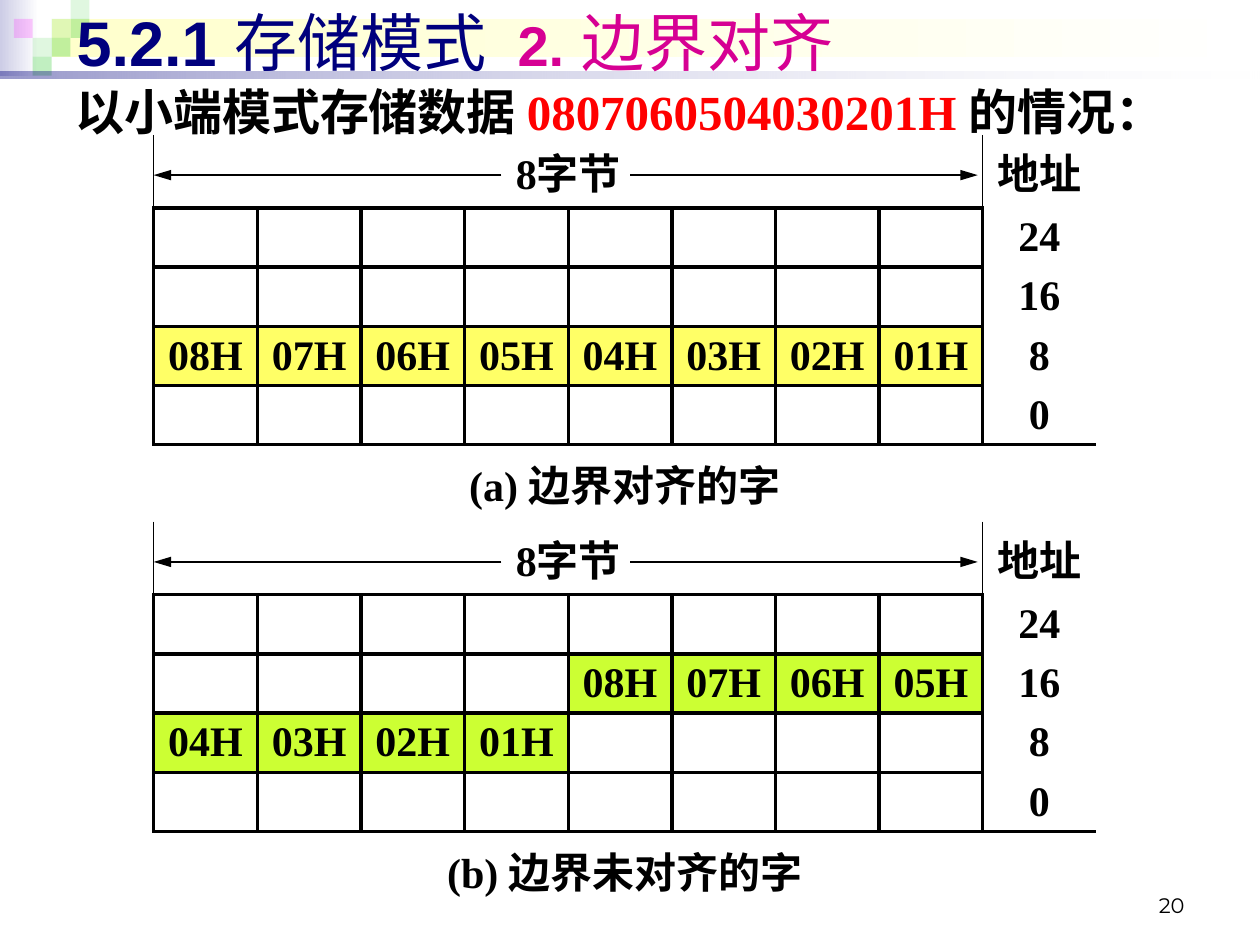
from lxml.etree import SubElement
from pptx import Presentation
from pptx.dml.color import RGBColor
from pptx.enum.shapes import MSO_CONNECTOR, MSO_SHAPE
from pptx.enum.text import MSO_ANCHOR, PP_ALIGN
from pptx.oxml import parse_xml
from pptx.oxml.ns import nsdecls, qn
from pptx.util import Inches, Pt

BLACK = RGBColor(0x00, 0x00, 0x00)
WHITE = RGBColor(0xFF, 0xFF, 0xFF)
NAVY = RGBColor(0x00, 0x00, 0x7D)
LAVENDER = RGBColor(0xCD, 0xCD, 0xE6)
CREAM = RGBColor(0xFF, 0xFF, 0xCC)
GREEN = RGBColor(0x33, 0xCC, 0x33)
MAGENTA = RGBColor(0xFF, 0x00, 0xFF)
PINK = RGBColor(0xD6, 0x00, 0x93)
RED = RGBColor(0xFF, 0x00, 0x00)
YELLOW = RGBColor(0xFF, 0xFF, 0x66)
LIME = RGBColor(0xCC, 0xFF, 0x33)

deck = Presentation()
deck.slide_width = Inches(10)
deck.slide_height = Inches(7.5)
page = deck.slides.add_slide(deck.slide_layouts[6])


def write(para, text, size=24, font="Times New Roman", color=BLACK, bold=True):
    span = para.add_run()
    span.text = text
    span.font.size = Pt(size)
    span.font.name = font
    span.font.color.rgb = color
    span.font.bold = bold


def add_block(left, top, width, height, *stops):
    block = page.shapes.add_shape(
        MSO_SHAPE.RECTANGLE, Inches(left), Inches(top), Inches(width), Inches(height)
    )
    block.shadow.inherit = False
    block.line.fill.background()
    if len(stops) == 1:
        block.fill.solid()
        block.fill.fore_color.rgb = stops[0][0]
    else:
        block.fill.gradient()
        block.fill.gradient_angle = 0
        for stop, (color, alpha) in zip(block.fill.gradient_stops, stops):
            stop.color.rgb = color
    colors = block.element.spPr.iter(qn("a:srgbClr"))
    for element, (color, alpha) in zip(colors, stops):
        if alpha < 100:
            SubElement(element, qn("a:alpha"), val=str(alpha * 1000))


add_block(0, 0, 0.31, 0.6, (LAVENDER, 100), (WHITE, 100))
add_block(0.41, 0.15, 9.55, 0.3, (CREAM, 100), (WHITE, 100))
for left, top, color, alpha in [
    (0.41, 0.15, GREEN, 15),
    (0.56, 0, GREEN, 15),
    (0.56, 0.15, GREEN, 30),
    (0.26, 0.3, GREEN, 15),
    (0.11, 0.15, MAGENTA, 20),
    (0.41, 0.3, GREEN, 30),
    (0.26, 0.45, GREEN, 30),
]:
    add_block(left, top, 0.15, 0.15, (color, alpha))
add_block(0, 0.57, 10, 0.05, (NAVY, 40), (WHITE, 10))

title = {"size": 36, "font": "Arial", "color": NAVY}
subtitle = {"size": 36, "font": "Arial", "color": PINK}
body = {"size": 28}
for left, top, width, height, anchor, align, spans in [
    (0.51, -0.03, 9.37, 0.71, MSO_ANCHOR.MIDDLE, PP_ALIGN.LEFT, [
        ("5.2.1 ", title),
        ("存储模式\t", {**title, "bold": False}),
        ("2.", {**subtitle, "size": 32}),
        (" 边界对齐", {**subtitle, "bold": False}),
    ]),
    (0.5, 0.6, 9.38, 0.63, MSO_ANCHOR.TOP, PP_ALIGN.LEFT, [
        ("以小端模式存储数据 ", body),
        ("0807060504030201H ", {**body, "color": RED}),
        ("的情况：", body),
    ]),
    (7.17, 6.83, 2.33, 0.5, MSO_ANCHOR.BOTTOM, PP_ALIGN.RIGHT, [
        ("20", {"size": 12, "font": "Montserrat", "bold": False}),
    ]),
]:
    box = page.shapes.add_textbox(Inches(left), Inches(top), Inches(width), Inches(height))
    frame = box.text_frame
    frame.word_wrap = True
    frame.vertical_anchor = anchor
    para = frame.paragraphs[0]
    para.alignment = align
    for text, style in spans:
        write(para, text, **style)

LEFT = 1.22
GRID_WIDTH = 6.58
BYTES = 8
ROW_HEIGHTS = [0.58] + [0.47] * 4 + [0.62]
ADDRESSES = ["24", "16", "8", "0"]
LAST_ROW = len(ROW_HEIGHTS) - 1

for top, caption, color, words in [
    (1.07, "(a) 边界对齐的字", YELLOW, {(3, 0): range(8, 0, -1)}),
    (4.14, "(b) 边界未对齐的字", LIME, {(2, 4): range(8, 4, -1), (3, 0): range(4, 0, -1)}),
]:
    texts = {(0, 0): "8字节", (0, BYTES): "地址", (LAST_ROW, 0): caption}
    for row, address in enumerate(ADDRESSES, 1):
        texts[row, BYTES] = address
    filled = set()
    for (row, start), values in words.items():
        for column, value in enumerate(values, start):
            texts[row, column] = f"{value:02d}H"
            filled.add((row, column))

    holder = page.shapes.add_table(
        len(ROW_HEIGHTS), BYTES + 1, Inches(LEFT), Inches(top),
        Inches(GRID_WIDTH + 0.9), Inches(sum(ROW_HEIGHTS))
    )
    table = holder.table
    table.first_row = False
    table.horz_banding = False
    for column in range(BYTES):
        table.columns[column].width = Inches(GRID_WIDTH / BYTES)
    table.columns[BYTES].width = Inches(0.9)
    for row, height in enumerate(ROW_HEIGHTS):
        table.rows[row].height = Inches(height)
    table.cell(0, 0).merge(table.cell(0, BYTES - 1))
    table.cell(LAST_ROW, 0).merge(table.cell(LAST_ROW, BYTES))

    for row in range(LAST_ROW + 1):
        for column in range(BYTES + 1):
            cell = table.cell(row, column)
            cell.vertical_anchor = MSO_ANCHOR.MIDDLE
            cell.margin_left = cell.margin_right = Inches(0.05)
            cell.margin_top = cell.margin_bottom = Inches(0.02)
            para = cell.text_frame.paragraphs[0]
            para.alignment = PP_ALIGN.CENTER
            if (row, column) in texts:
                write(para, texts[row, column])

            edges = {}
            for side, x in [("L", column), ("R", column + cell.span_width)]:
                if row == 0:
                    edges[side] = 1 if x in (0, BYTES) else 0
                else:
                    edges[side] = 2.25 if row < LAST_ROW and x <= BYTES else 0
            for side, y in [("T", row), ("B", row + 1)]:
                inner = 1 <= y < LAST_ROW and column < BYTES
                edges[side] = 2.25 if inner or y == LAST_ROW else 0
            for side, width in edges.items():
                paint = f'<a:solidFill><a:srgbClr val="{BLACK}"/></a:solidFill>' if width else "<a:noFill/>"
                cell._tc.get_or_add_tcPr().append(
                    parse_xml(f'<a:ln{side} {nsdecls("a")} w="{Pt(width)}">{paint}</a:ln{side}>')
                )
            if (row, column) in filled:
                cell.fill.solid()
                cell.fill.fore_color.rgb = color
            else:
                cell.fill.background()

    for start, end in [(5, 7.76), (3.98, LEFT)]:
        arrow = page.shapes.add_connector(
            MSO_CONNECTOR.STRAIGHT, Inches(start), Inches(top + 0.32), Inches(end), Inches(top + 0.32)
        )
        arrow.line.color.rgb = BLACK
        arrow.line.width = Pt(1.5)
        SubElement(arrow.line._get_or_add_ln(), qn("a:tailEnd"), type="triangle", w="med", len="lg")
        SubElement(arrow.element.spPr, qn("a:effectLst"))

deck.save("out.pptx")
